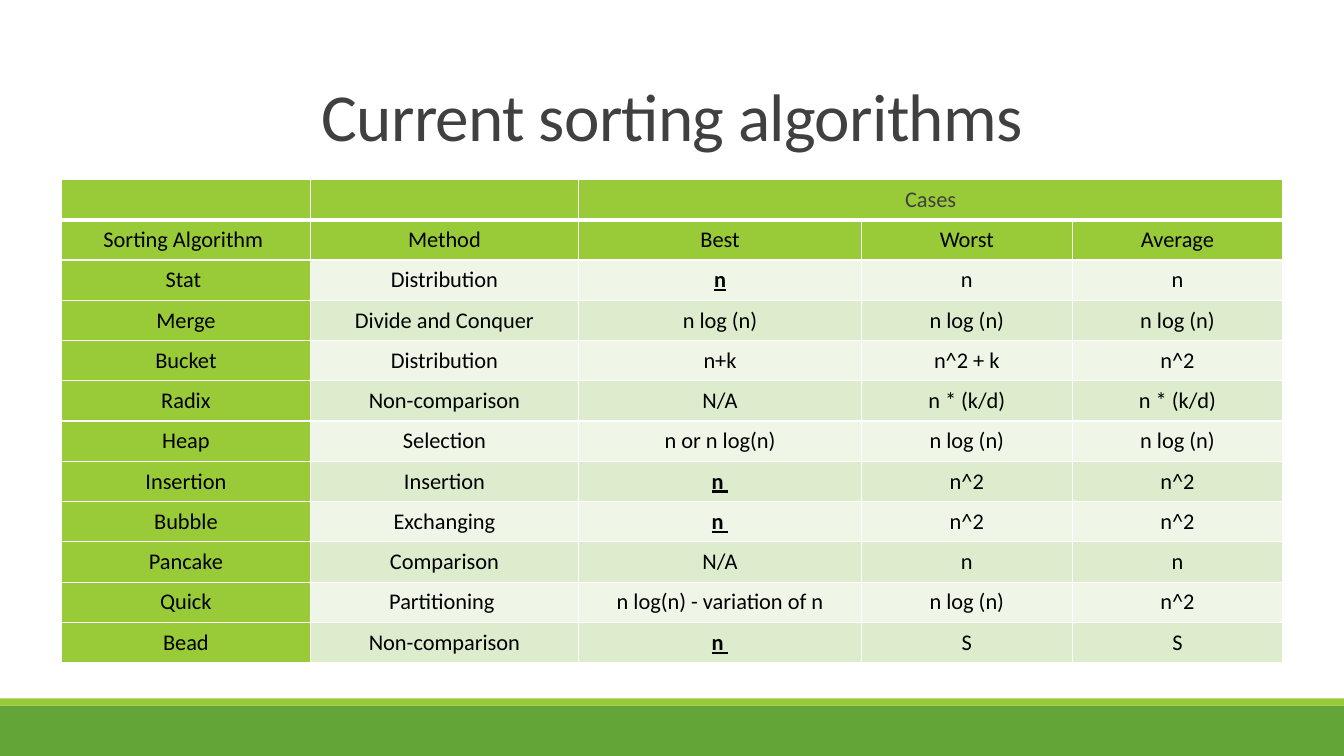
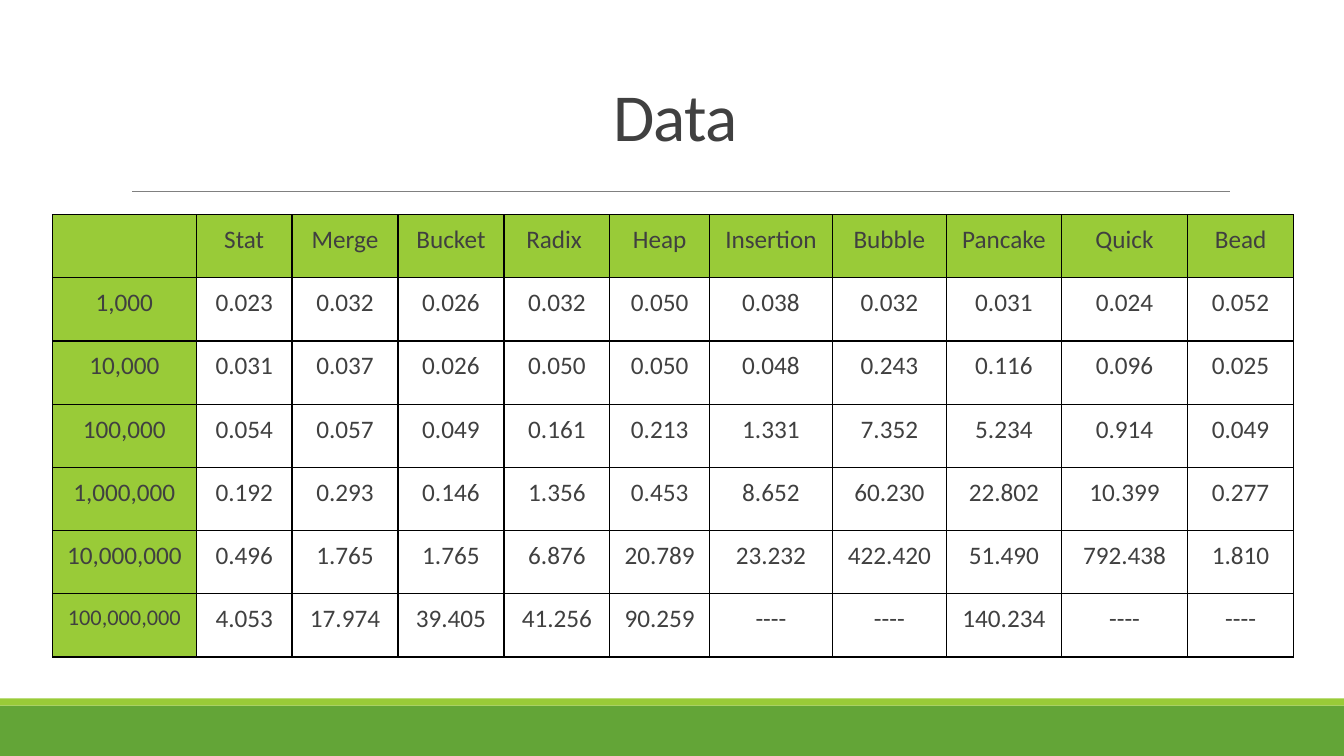
import pptx
import pptx.dml.color
import pptx.enum.shapes
import pptx.enum.text
import pptx.oxml
import pptx.oxml.ns
import pptx.util
from pptx.dml.color import RGBColor
from pptx.oxml.ns import qn
from pptx.util import Cm, Pt

GREEN = RGBColor(0x63, 0xA5, 0x37)
LIME = RGBColor(0x99, 0xCB, 0x38)
PALE = RGBColor(0xEF, 0xF6, 0xE8)
MINT = RGBColor(0xDE, 0xEC, 0xCE)
GRAY = RGBColor(0x40, 0x40, 0x40)
RULE = RGBColor(0x80, 0x80, 0x80)
BLACK = RGBColor(0, 0, 0)
WHITE = RGBColor(0xFF, 0xFF, 0xFF)
FONT = "Calibri"
MIDDLE = pptx.enum.text.MSO_ANCHOR.MIDDLE
TOP = pptx.enum.text.MSO_ANCHOR.TOP
BOTTOM = pptx.enum.text.MSO_ANCHOR.BOTTOM


def write_text(frame, text, size=18, color=GRAY, line_spacing=None, tracking=None):
    para = frame.paragraphs[0]
    para.alignment = pptx.enum.text.PP_ALIGN.CENTER
    para.line_spacing = line_spacing
    span = para.add_run()
    span.text = text
    span.font.name = FONT
    span.font.size = Pt(size)
    span.font.bold = False
    span.font.color.rgb = color
    if tracking is not None:
        span.font._element.set("spc", str(tracking))


def add_grid(page, rows, widths, left, top, height, size, color, border, fills, header_rows, anchor, margin):
    frame = page.shapes.add_table(len(rows), len(widths), left, top, Cm(sum(widths)), height)
    table = frame.table
    table.first_row = False
    table.horz_banding = False
    for column, width in zip(table.columns, widths):
        column.width = Cm(width)
    for row_index, row in enumerate(rows):
        for column_index, text in enumerate(row):
            cell = table.cell(row_index, column_index)
            cell.vertical_anchor = anchor
            cell.margin_left = cell.margin_right = margin
            cell.margin_top = cell.margin_bottom = margin
            if text:
                write_text(cell.text_frame, text, size=size, color=color)
            if row_index < header_rows or column_index == 0:
                fill = LIME
            else:
                fill = fills[(row_index - header_rows) % len(fills)]
            if fill is None:
                cell.fill.background()
            else:
                cell.fill.solid()
                cell.fill.fore_color.rgb = fill
            properties = cell._tc.get_or_add_tcPr()
            for position, side in enumerate(("lnL", "lnR", "lnT", "lnB")):
                properties.insert(position, pptx.oxml.parse_xml(
                    f'<a:{side} {pptx.oxml.ns.nsdecls("a")} w="{Pt(1)}"><a:solidFill>'
                    f'<a:srgbClr val="{border}"/></a:solidFill></a:{side}>'))
    return table


deck = pptx.Presentation()
deck.slide_width = Cm(33.87)
deck.slide_height = Cm(19.05)
layout = deck.slide_layouts[5]

pages = []
for heading, left in (("Current sorting algorithms", 2.97), ("Data", 3.05)):
    page = deck.slides.add_slide(layout)
    pages.append(page)
    for top, height, color in ((17.78, 1.27, GREEN), (17.6, 0.18, LIME)):
        band = page.shapes.add_shape(
            pptx.enum.shapes.MSO_SHAPE.RECTANGLE, 0, Cm(top), deck.slide_width, Cm(height))
        band.shadow.inherit = False
        band.fill.solid()
        band.fill.fore_color.rgb = color
        band.line.fill.background()
    title = page.shapes.title
    title.left, title.top, title.width, title.height = Cm(left), 0, Cm(27.94), Cm(4.04)
    title.text_frame.vertical_anchor = BOTTOM
    title.text_frame.auto_size = pptx.enum.text.MSO_AUTO_SIZE.NONE
    write_text(title.text_frame, heading, size=48, line_spacing=0.85, tracking=-50)

algorithms_page, data_page = pages

algorithm_rows = [
    ("", "", "Cases", "", ""),
    ("Sorting Algorithm ", "Method", "Best", "Worst", "Average"),
    ("Stat ", "Distribution", "n", "n", "n"),
    ("Merge", "Divide and Conquer", "n log (n)", "n log (n)", "n log (n)"),
    ("Bucket", "Distribution", "n+k", "n^2 + k", "n^2"),
    ("Radix", "Non-comparison", "N/A", "n * (k/d)", "n * (k/d)"),
    ("Heap", "Selection", "n or n log(n)", "n log (n)", "n log (n)"),
    ("Insertion", "Insertion", "n ", "n^2", "n^2"),
    ("Bubble", "Exchanging", "n ", "n^2", "n^2"),
    ("Pancake", "Comparison", "N/A", "n", "n"),
    ("Quick", "Partitioning ", "n log(n) - variation of n", "n log (n)", "n^2"),
    ("Bead", "Non-comparison", "n ", "S", "S"),
]
algorithm_table = add_grid(
    algorithms_page, algorithm_rows, [6.27, 6.76, 7.13, 5.31, 5.31],
    Cm(1.55), Cm(4.52), Cm(12.19), size=16, color=BLACK, border=WHITE,
    fills=[PALE, MINT], header_rows=2, anchor=MIDDLE, margin=Cm(0.02))
for column_index in range(5):
    for row_index, side in ((0, "a:lnB"), (1, "a:lnT")):
        properties = algorithm_table.cell(row_index, column_index)._tc.tcPr
        properties.find(qn(side)).set("w", str(Pt(3)))
cases = algorithm_table.cell(0, 2)
cases.merge(algorithm_table.cell(0, 4))
cases.text_frame.paragraphs[0].runs[0].font.color.rgb = GRAY
for row_index, row in enumerate(algorithm_rows):
    if row[2].strip() == "n":
        best = algorithm_table.cell(row_index, 2).text_frame.paragraphs[0].runs[0]
        best.font.bold = True
        best.font.underline = True

rule = data_page.shapes.add_connector(
    pptx.enum.shapes.MSO_CONNECTOR.STRAIGHT, Cm(3.33), Cm(4.83), Cm(31), Cm(4.83))
rule.line.color.rgb = RULE
rule.line.width = Pt(0.5)
rule._element.spPr.append(pptx.oxml.parse_xml(f'<a:effectLst {pptx.oxml.ns.nsdecls("a")}/>'))

timing_rows = [
    ("", "Stat", "Merge", "Bucket", "Radix ", "Heap", "Insertion", "Bubble", "Pancake", "Quick", "Bead"),
    ("1,000", "0.023", "0.032", "0.026", "0.032", "0.050", "0.038", "0.032", "0.031", "0.024", "0.052"),
    ("10,000", "0.031", "0.037", "0.026", "0.050", "0.050", "0.048", "0.243", "0.116", "0.096", "0.025"),
    ("100,000", "0.054", "0.057", "0.049", "0.161", "0.213", "1.331", "7.352", "5.234", "0.914", "0.049"),
    ("1,000,000", "0.192", "0.293", "0.146", "1.356", "0.453", "8.652", "60.230", "22.802", "10.399", "0.277"),
    ("10,000,000", "0.496", "1.765", "1.765", "6.876", "20.789", "23.232", "422.420", "51.490", "792.438", "1.810"),
    ("100,000,000", "4.053", "17.974", "39.405", "41.256", "90.259", "----", "----", "140.234", "----", "----"),
]
timing_table = add_grid(
    data_page, timing_rows, [3.63, 2.41, 2.67, 2.67, 2.67, 2.51, 3.1, 2.87, 2.9, 3.18, 2.67],
    Cm(1.32), Cm(5.41), Cm(11.15), size=18, color=GRAY, border=BLACK,
    fills=[None], header_rows=1, anchor=TOP, margin=Cm(0.25))
timing_table.cell(6, 0).text_frame.paragraphs[0].runs[0].font.size = Pt(16)

deck.save("out.pptx")
